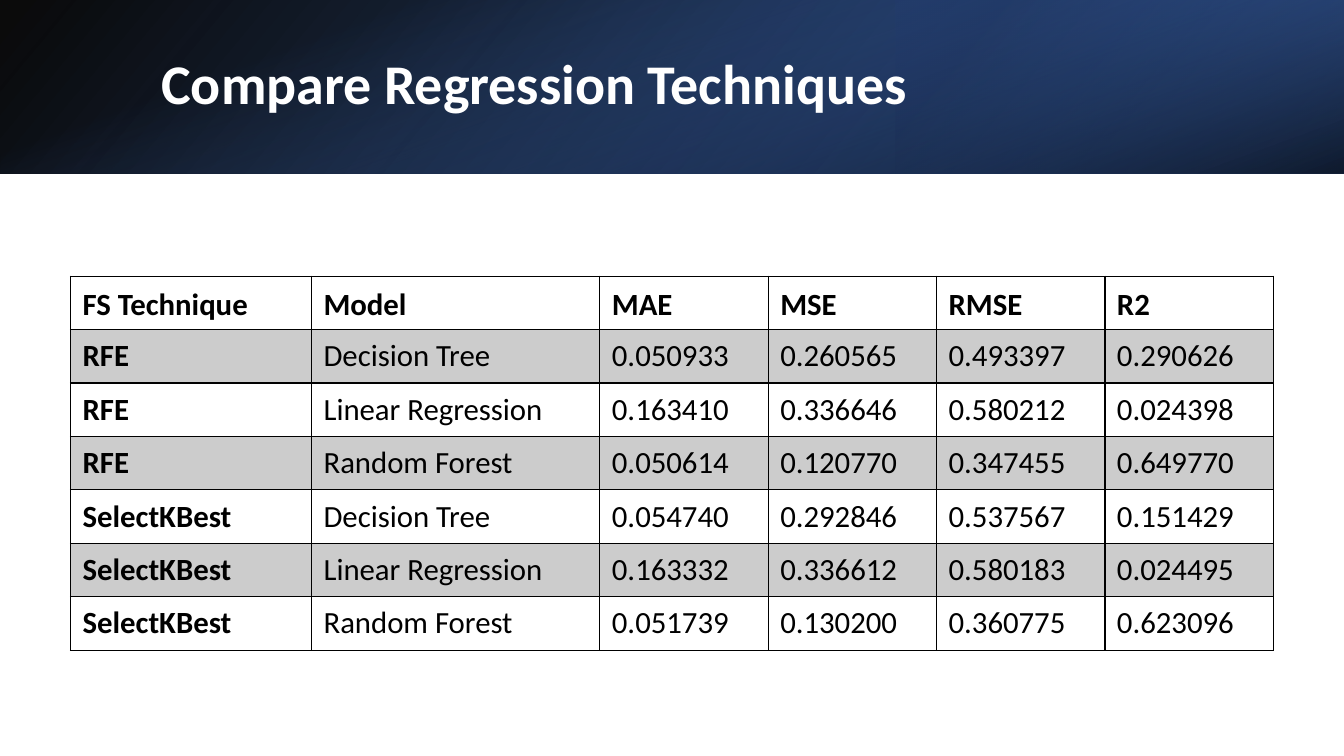
import pptx
import pptx.util
import pptx.dml.color
import pptx.enum.shapes
import pptx.enum.text
import pptx.oxml
import pptx.oxml.ns

RGBColor = pptx.dml.color.RGBColor
Inches, Pt = pptx.util.Inches, pptx.util.Pt
ANCHOR = pptx.enum.text.MSO_ANCHOR
qn = pptx.oxml.ns.qn
NS = pptx.oxml.ns.nsdecls("a")

BLACK = RGBColor(0x00, 0x00, 0x00)
WHITE = RGBColor(0xFF, 0xFF, 0xFF)
DEEP_BLUE = RGBColor(0x2F, 0x55, 0x97)
NAVY = RGBColor(0x20, 0x38, 0x64)
BLUE = RGBColor(0x44, 0x72, 0xC4)
FONT = "Calibri"

W, H = 13.33, 7.5
BAND_H = 1.72
ROW_H = 0.53
COLUMNS = [2.39, 2.86] + [1.67] * 4
HEADER = ["FS Technique", "Model", "MAE", "MSE", "RMSE", "R2"]
RESULTS = [
    ["RFE", "Decision Tree", "0.050933", "0.260565", "0.493397", "0.290626"],
    ["RFE", "Linear Regression", "0.163410", "0.336646", "0.580212", "0.024398"],
    ["RFE", "Random Forest", "0.050614", "0.120770", "0.347455", "0.649770"],
    ["SelectKBest", "Decision Tree", "0.054740", "0.292846", "0.537567", "0.151429"],
    ["SelectKBest", "Linear Regression", "0.163332", "0.336612", "0.580183", "0.024495"],
    ["SelectKBest", "Random Forest", "0.051739", "0.130200", "0.360775", "0.623096"],
]


def add_run(p, text, size, color, bold):
    r = p.add_run()
    r.text = text
    r.font.name, r.font.size, r.font.bold = FONT, Pt(size), bold
    r.font.color.rgb = color


def add_gradient_band(s, box, stops, angle, rotation=0, flip=False):
    """Stops are (position %, colour, opacity %)."""
    sp = s.shapes.add_shape(pptx.enum.shapes.MSO_SHAPE.RECTANGLE,
                            *[Inches(v) for v in box])
    sp.shadow.inherit = False
    sp.line.fill.background()
    sp.rotation = rotation
    spPr = sp.element.spPr
    if flip:
        spPr.find(qn("a:xfrm")).set("flipH", "1")
    gs = "".join(
        f'<a:gs pos="{pos * 1000}"><a:srgbClr val="{color}">'
        f'<a:alpha val="{opacity * 1000}"/></a:srgbClr></a:gs>'
        for pos, color, opacity in stops)
    spPr.find(qn("a:prstGeom")).addnext(pptx.oxml.parse_xml(
        f'<a:gradFill {NS}><a:gsLst>{gs}</a:gsLst>'
        f'<a:lin ang="{angle * 60000}" scaled="0"/></a:gradFill>'))


def add_title(s, text):
    title = s.shapes.title
    title.left, title.top = Inches(1.5), Inches(0.38)
    title.width, title.height = Inches(10.98), Inches(0.96)
    title.element.getparent().append(title.element)  # in front of the bands
    tf = title.text_frame
    tf.word_wrap = True
    tf.auto_size = pptx.enum.text.MSO_AUTO_SIZE.NONE
    tf.vertical_anchor = ANCHOR.MIDDLE
    p = tf.paragraphs[0]
    p.alignment = pptx.enum.text.PP_ALIGN.LEFT
    p.line_spacing, p.space_after = 0.9, Pt(6)
    add_run(p, text, 40, WHITE, True)


def format_cell(cell, text, bold, anchor, shaded):
    cell.margin_left = cell.margin_right = Inches(0.12)
    cell.margin_top = cell.margin_bottom = Inches(0.06)
    cell.vertical_anchor = anchor
    tcPr = cell._tc.get_or_add_tcPr()
    for side in ("lnL", "lnR", "lnT", "lnB"):
        tcPr.append(pptx.oxml.parse_xml(
            f'<a:{side} {NS} w="{Pt(1)}"><a:solidFill>'
            f'<a:srgbClr val="{BLACK}"/></a:solidFill></a:{side}>'))
    if shaded:
        cell.fill.solid()
        cell.fill.fore_color.rgb = BLACK
        color = tcPr.find(qn("a:solidFill")).find(qn("a:srgbClr"))
        color.append(pptx.oxml.parse_xml(f'<a:alpha {NS} val="20000"/>'))
    else:
        cell.fill.background()
    add_run(cell.text_frame.paragraphs[0], text, 22, BLACK, bold)


def add_results_table(s, left, top):
    rows = [HEADER] + RESULTS
    table = s.shapes.add_table(
        len(rows), len(COLUMNS), Inches(left), Inches(top),
        Inches(sum(COLUMNS)), Inches(ROW_H * len(rows))).table
    table.first_row = table.horz_banding = False
    for column, width in zip(table.columns, COLUMNS):
        column.width = Inches(width)
    for i, values in enumerate(rows):
        table.rows[i].height = Inches(ROW_H)
        for j, text in enumerate(values):
            format_cell(table.cell(i, j), text, bold=i == 0 or j == 0,
                        anchor=ANCHOR.MIDDLE if i else ANCHOR.BOTTOM,
                        shaded=i % 2 == 1)


def main():
    prs = pptx.Presentation()
    prs.slide_width, prs.slide_height = Inches(W), Inches(H)
    s = prs.slides.add_slide(prs.slide_layouts[5])

    # Header: three overlaid gradients
    add_gradient_band(s, (0, 0, W, BAND_H),
                      [(0, BLACK, 96), (100, DEEP_BLUE, 100)], 140, flip=True)
    add_gradient_band(s, (W * 2 / 3, 0, W / 3, BAND_H),
                      [(19, NAVY, 68), (100, BLUE, 79)], 320, 180, flip=True)
    offset = (W - BAND_H) / 2  # a quarter turn about the band's centre
    add_gradient_band(s, (offset, -offset, BAND_H, W),
                      [(23, BLUE, 0), (99, BLACK, 74)], 340, 90)
    add_title(s, "Compare Regression Techniques")

    # Scores per feature selection technique and model
    add_results_table(s, 0.7, 2.74)

    prs.save("out.pptx")


if __name__ == "__main__":
    main()
